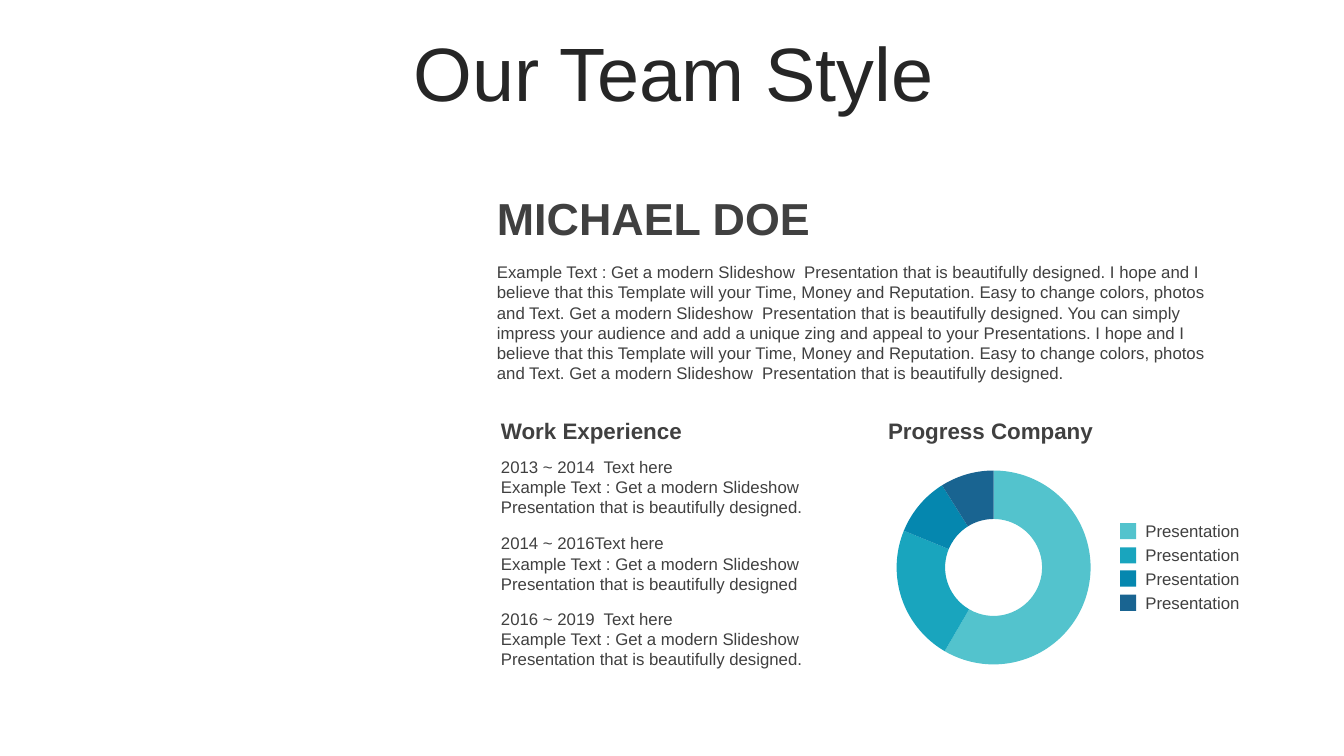
"""Build a team profile slide with a work history and a progress doughnut."""
from pptx import Presentation
from pptx.chart.data import CategoryChartData as Data
from pptx.dml.color import RGBColor
from pptx.enum.chart import XL_CHART_TYPE as Kind
from pptx.enum.shapes import MSO_SHAPE as Shape
from pptx.enum.text import MSO_ANCHOR as Anchor, MSO_AUTO_SIZE as Auto, PP_ALIGN as Align
from pptx.util import Pt

PX = 9144
INK = RGBColor(0x26, 0x26, 0x26)
GREY = RGBColor(0x40, 0x40, 0x40)
AQUA = RGBColor(0x53, 0xC3, 0xCD)
TEAL = RGBColor(0x19, 0xA5, 0xBE)
BLUE = RGBColor(0x05, 0x87, 0xAF)
NAVY = RGBColor(0x19, 0x64, 0x91)

HEAD = {"line_spacing": 0.9, "space_before": Pt(10)}
SHARES = [(59, AQUA), (23, TEAL), (10, BLUE), (9, NAVY)]
PITCH = "Get a modern Slideshow  Presentation that is beautifully designed"
HOPE = ("I hope and I believe that this Template will your Time, Money and "
        "Reputation. Easy to change colors, photos and Text.")
ABOUT = (f"Example Text : {PITCH}. {HOPE} {PITCH}. You can simply impress your "
         "audience and add a unique zing and appeal to your Presentations. "
         f"{HOPE} {PITCH}.")
JOBS = [("2013 ~ 2014  Text here", "."),
        ("2014 ~ 2016Text here", ""),
        ("2016 ~ 2019  Text here", ".")]


def emu(*nums):
    """Turn px lengths into EMU."""
    return [num * PX for num in nums]


def put(item, values):
    """Set each named value on an item."""
    for name, value in values.items():
        setattr(item, name, value)


def write(shape, lines, size=12, color=GREY, bold=False, frame=None, para=None):
    """Fill a shape with formatted lines of text."""
    text = shape.text_frame
    put(text, {"word_wrap": True, "auto_size": Auto.NONE, **(frame or {})})
    text.text = "\n".join(lines)
    for line in text.paragraphs:
        put(line, para or {})
        for run in line.runs:
            put(run.font, {"name": "Arial", "size": Pt(size), "bold": bold})
            run.font.color.rgb = color


def title(slide, words):
    """Place the slide title."""
    shape = slide.shapes.title
    put(shape, dict(zip(("left", "top", "width", "height"), emu(35, 37, 1266, 79))))
    write(shape, [words], 54, INK, frame={"vertical_anchor": Anchor.MIDDLE},
          para={**HEAD, "alignment": Align.CENTER})


def label(shapes, box, lines, **style):
    """Add a text box at a px box."""
    write(shapes.add_textbox(*emu(*box)), lines, **style)


def ring(slide, box):
    """Add the doughnut chart."""
    data = Data()
    data.categories = [str(num + 1) for num in range(len(SHARES))]
    data.add_series("Series 1", [share for share, _ in SHARES])
    chart = slide.shapes.add_chart(Kind.DOUGHNUT, *emu(*box), data).chart
    put(chart, {"has_legend": False, "has_title": False})
    put(chart.font, {"name": "Arial", "size": Pt(18)})
    chart.font.color.rgb = RGBColor(0, 0, 0)
    plot = chart.plots[0]
    plot.vary_by_categories = True
    for num, (_, color) in enumerate(SHARES):
        look = plot.series[0].points[num].format
        look.fill.solid()
        look.fill.fore_color.rgb = color
        look.line.fill.background()


def legend(slide, left, top, step):
    """Add a grouped key of squares and names."""
    shapes = slide.shapes.add_group_shape().shapes
    for num, (_, color) in enumerate(SHARES):
        y = top + round(num * step)
        key = shapes.add_shape(Shape.RECTANGLE, *emu(left, y, 16, 16))
        key.shadow.inherit = False
        key.fill.solid()
        key.fill.fore_color.rgb = color
        key.line.fill.background()
        label(shapes, (left + 25, y - 7, 114, 30), ["Presentation"],
              frame={"margin_left": 0, "margin_right": 0})


def main():
    """Build and save the slide."""
    deck = Presentation()
    put(deck, dict(zip(("slide_width", "slide_height"), emu(1333, 750))))
    slide = deck.slides.add_slide(deck.slide_layouts[5])
    shapes = slide.shapes
    middle = {"vertical_anchor": Anchor.MIDDLE}
    title(slide, "Our Team Style")
    ring(slide, (864, 453, 243, 220))
    legend(slide, 1111, 519, 23.7)
    label(shapes, (483, 196, 761, 47), ["MICHAEL DOE"], size=32, bold=True,
          frame=middle, para=HEAD)
    label(shapes, (483, 255, 751, 131), [ABOUT])
    label(shapes, (487, 412, 276, 31), ["Work Experience"], size=16, bold=True,
          frame=middle, para={"space_before": Pt(3)})
    label(shapes, (871, 412, 263, 31), ["Progress Company"], size=16, bold=True,
          para=HEAD)
    for num, (years, end) in enumerate(JOBS):
        label(shapes, (487, 448 + round(num * 75.5), 348, 71),
              [years, f"Example Text : {PITCH}{end}"])
    deck.save("out.pptx")


if __name__ == "__main__":
    main()
